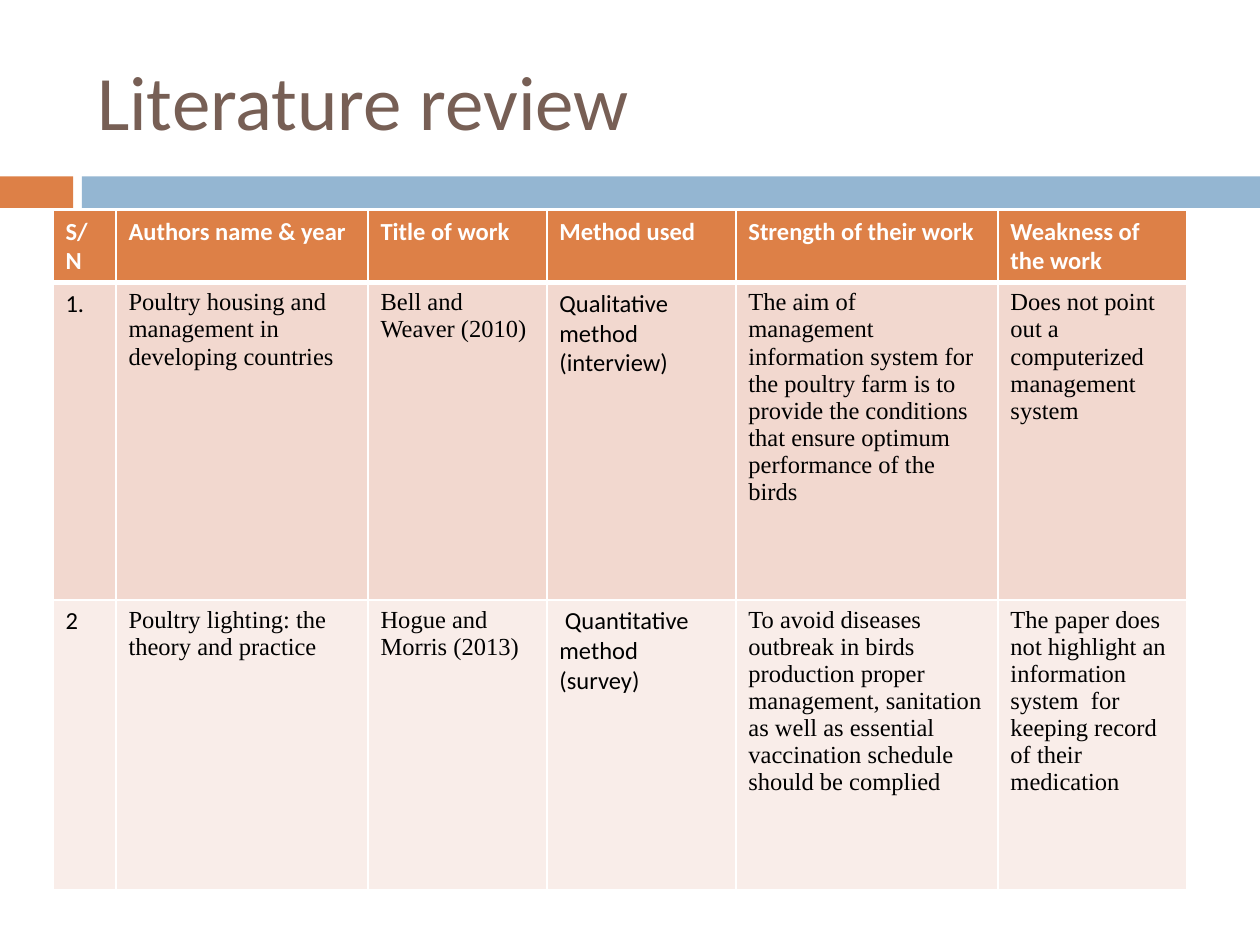
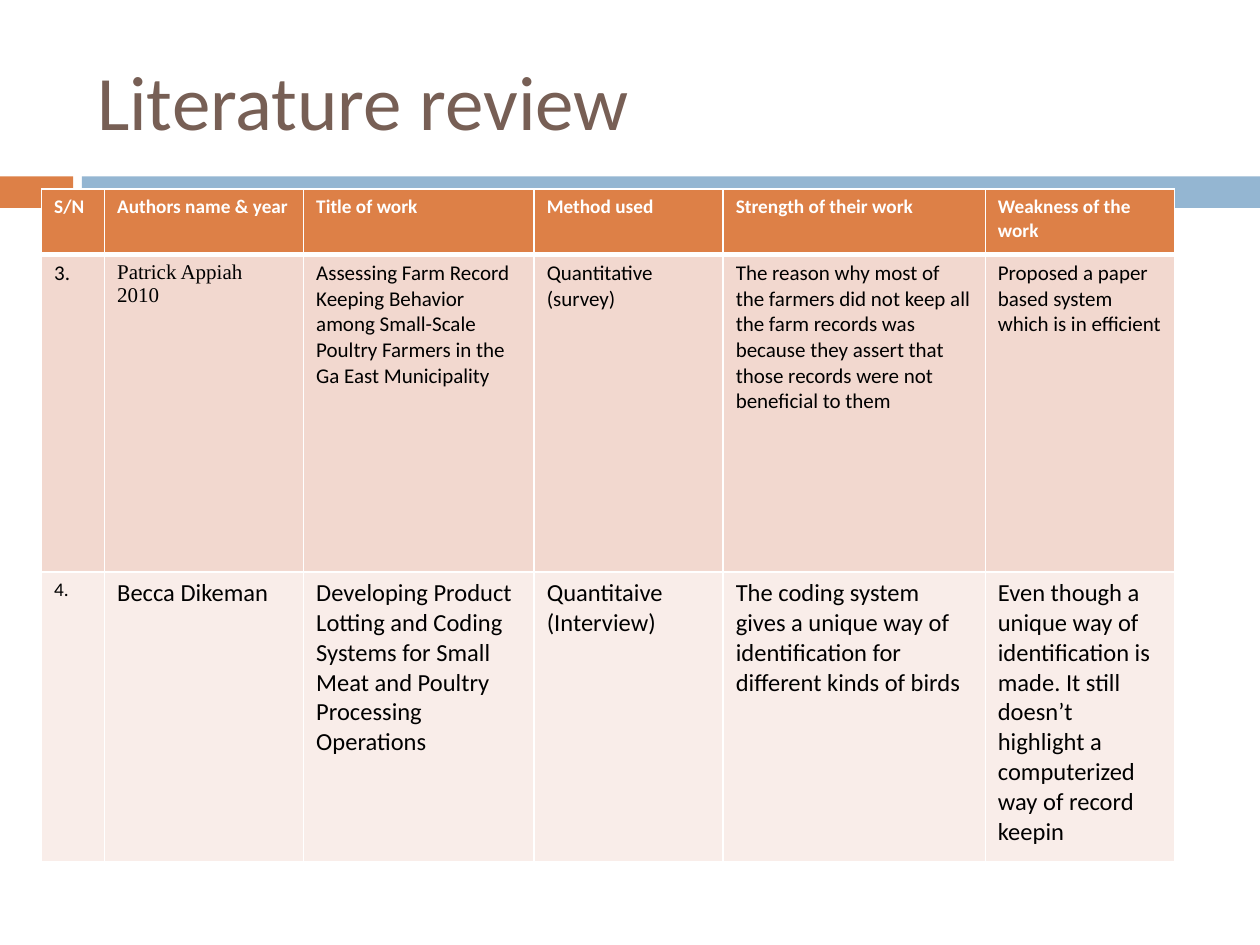
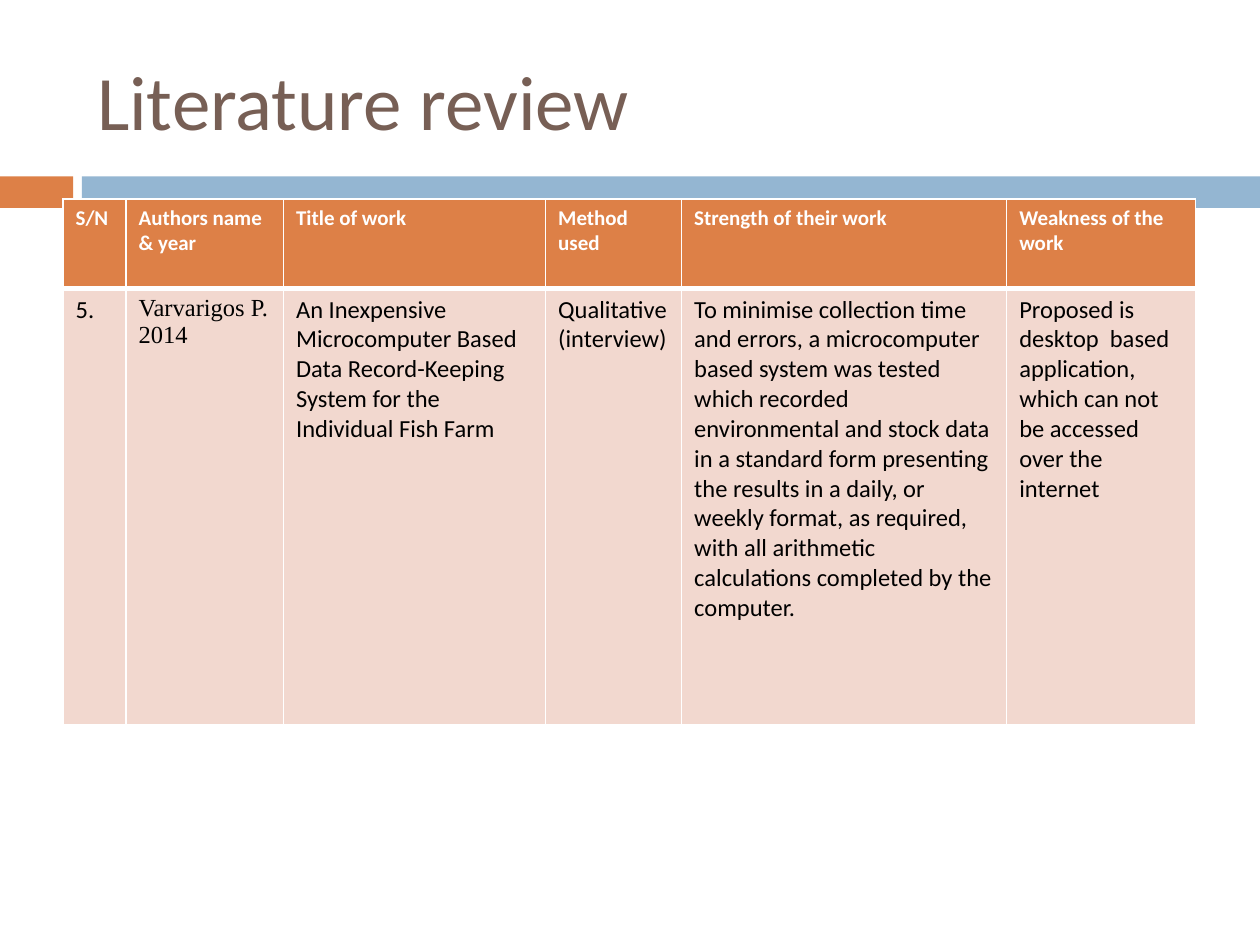
import pptx
import pptx.util
import pptx.dml.color
import pptx.enum.shapes
import pptx.enum.text
import pptx.oxml.ns
import lxml.etree
from dataclasses import dataclass

Inches = pptx.util.Inches
Pt = pptx.util.Pt
RGB = pptx.dml.color.RGBColor.from_string


@dataclass(frozen=True)
class Theme:
    sans: str = "Calibri"
    serif: str = "Times New Roman"
    title: str = "775F55"
    orange: str = "DD8047"
    blue: str = "94B6D2"
    white: str = "FFFFFF"
    black: str = "000000"
    stripes: tuple = ("F2D8CF", "F9EDE9")
    big: int = 44
    text: int = 14
    small: int = 12
    tiny: int = 11


look = Theme()


def write(frame, text, size=look.text, font=look.sans, color=look.black, bold=False):
    """Fill a text frame, one paragraph for each line."""
    frame.text = text
    for para in frame.paragraphs:
        para.alignment = pptx.enum.text.PP_ALIGN.LEFT
        for run in para.runs:
            run.font.size = Pt(size)
            run.font.name = font
            run.font.bold = bold
            run.font.color.rgb = RGB(color)


def border(cell, **widths):
    """Draw white cell edges, with widths in points by side."""
    props = cell._tc.get_or_add_tcPr()
    for spot, (side, width) in enumerate(widths.items()):
        line = lxml.etree.Element(pptx.oxml.ns.qn("a:ln" + side), w=str(Pt(width)))
        fill = lxml.etree.SubElement(line, pptx.oxml.ns.qn("a:solidFill"))
        lxml.etree.SubElement(fill, pptx.oxml.ns.qn("a:srgbClr"), val=look.white)
        props.insert(spot, line)


heads = ["S/N", "Authors name & year", "Title of work", "Method used",
         "Strength of their work", "Weakness of the work"]

# Each page: table corner, column widths, row heights, heading size, rows.
# Each row: number size, text size, columns set in serif, cell texts.
pages = [
    ((0.42, 1.67), (0.5, 2, 1.42, 1.5, 2.08, 1.5), (0.52, 2.52, 2.3), look.text, [
        (look.text, look.text, (1, 2, 4, 5), [
            "1.",
            "Poultry housing and management in developing countries",
            "Bell and Weaver (2010)",
            "Qualitative method\n(interview)",
            "The aim of management information system for the poultry farm is to "
            "provide the conditions that ensure optimum performance of the birds",
            "Does not point out a computerized  management system"]),
        (look.text, look.text, (1, 2, 4, 5), [
            "2",
            "Poultry lighting: the theory and practice",
            "Hogue and Morris (2013)",
            " Quantitative method\n(survey)",
            "To avoid diseases outbreak in birds production proper management, "
            "sanitation as well as essential vaccination schedule should be complied",
            "The paper does not highlight an information system  for  keeping "
            "record of their medication"]),
    ]),
    ((0.33, 1.5), (0.5, 1.58, 1.83, 1.5, 2.08, 1.5), (0.52, 2.52, 2.3), look.tiny, [
        (look.small, look.small, (1,), [
            "3.",
            "Patrick Appiah\n2010",
            "Assessing Farm Record Keeping Behavior among Small-Scale Poultry "
            "Farmers in the Ga East Municipality",
            "Quantitative (survey)",
            "The reason why most of the farmers did not keep all the farm records "
            "was because they assert that those records were not beneficial to them",
            "Proposed a paper based system which is in efficient"]),
        (look.tiny, look.text, (), [
            "4.",
            "Becca Dikeman",
            "Developing Product Lotting and Coding Systems for Small Meat and "
            "Poultry Processing Operations",
            "Quantitaive\n(Interview)",
            "The coding system gives a unique way of identification for different "
            "kinds of birds",
            "Even though a unique way of identification is made. It still doesn’t "
            "highlight a computerized way of record keepin"]),
    ]),
    ((0.5, 1.58), (0.5, 1.25, 2.08, 1.08, 2.58, 1.5), (0.71, 3.46), look.small, [
        (look.text, look.text, (1,), [
            "5.",
            "Varvarigos P.\n2014",
            "An Inexpensive Microcomputer Based Data Record-Keeping System for "
            "the Individual Fish Farm",
            "Qualitative\n(interview)",
            "To minimise collection time and errors, a microcomputer based system "
            "was tested which recorded environmental and stock data in a standard "
            "form presenting the results in a daily, or weekly format, as required, "
            "with all arithmetic calculations completed by the computer.",
            "Proposed is desktop  based application, which can not be accessed "
            "over the internet"]),
    ]),
]

deck = pptx.Presentation()
deck.slide_width, deck.slide_height = Inches(10), Inches(7.5)

# Shared layout: title place
layout = deck.slide_layouts.get_by_name("Title Only")
title = layout.placeholders[0]
title.left, title.top = Inches(0.67), Inches(0.25)
title.width, title.height = Inches(8.92), Inches(1.08)
title.text_frame.vertical_anchor = pptx.enum.text.MSO_ANCHOR.MIDDLE

slides = [deck.slides.add_slide(layout) for page in pages]

# Shared layout: bands, drawn once and moved behind the layout's placeholders
for left, width, color in ((0, 0.58, look.orange), (0.65, 9.35, look.blue)):
    band = slides[0].shapes.add_shape(
        pptx.enum.shapes.MSO_SHAPE.RECTANGLE,
        Inches(left), Inches(1.4), Inches(width), Inches(0.25))
    band.shadow.inherit = False
    band.fill.solid()
    band.fill.fore_color.rgb = RGB(color)
    band.line.fill.background()
    layout.shapes.element.insert(2, band.element)

# Slides: title and review table
for slide, (corner, cols, rows, size, body) in zip(slides, pages):
    write(slide.shapes.title.text_frame, "Literature review",
          size=look.big, color=look.title)
    left, top = corner
    grid = slide.shapes.add_table(
        len(rows), len(cols), Inches(left), Inches(top),
        Inches(sum(cols)), Inches(sum(rows))).table
    for col, width in zip(grid.columns, cols):
        col.width = Inches(width)
    for row, height in zip(grid.rows, rows):
        row.height = Inches(height)

    # Heading row
    for cell, text in zip(grid.rows[0].cells, heads):
        write(cell.text_frame, text, size=size, color=look.white, bold=True)
        cell.fill.solid()
        cell.fill.fore_color.rgb = RGB(look.orange)
        border(cell, L=1, R=1, T=1, B=3)

    # Body rows
    for r, (first, rest, serif, texts) in enumerate(body):
        for c, text in enumerate(texts):
            cell = grid.cell(r + 1, c)
            write(cell.text_frame, text, size=rest if c else first,
                  font=look.serif if c in serif else look.sans)
            cell.fill.solid()
            cell.fill.fore_color.rgb = RGB(look.stripes[r])
            border(cell, L=1, R=1, T=1 if r else 3, B=1)

deck.save("out.pptx")
